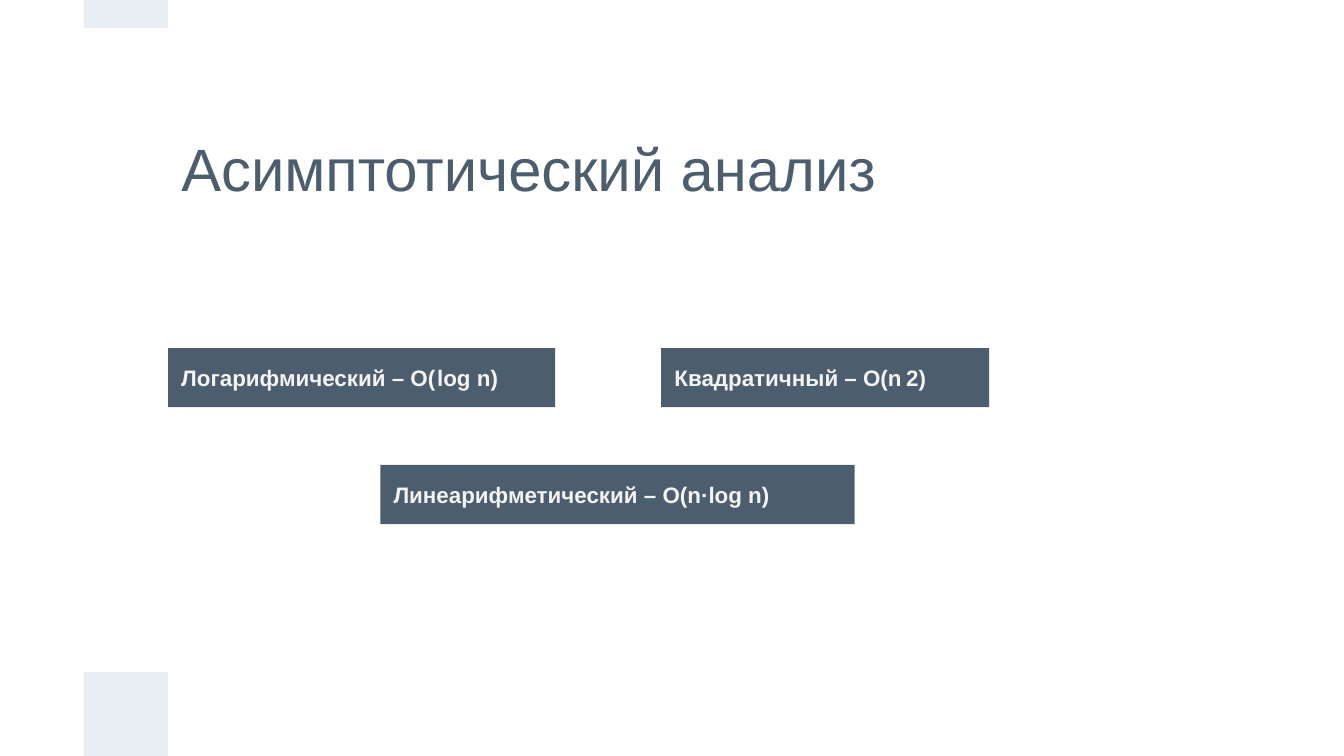
from pptx import Presentation
from pptx.dml.color import RGBColor
from pptx.enum.shapes import MSO_SHAPE
from pptx.enum.text import MSO_ANCHOR, PP_ALIGN
from pptx.util import Inches, Pt

SLATE = RGBColor(0x4C, 0x5D, 0x6E)
PALE_BLUE = RGBColor(0xE9, 0xED, 0xF4)
OFF_WHITE = RGBColor(0xF3, 0xF3, 0xF3)
FONT = "Arial"
PAGE_WIDTH = 10
PAGE_HEIGHT = PAGE_WIDTH * 9 / 16
MARGIN = PAGE_WIDTH / 16
LABEL_HEIGHT = 0.44
NO_BREAK_SPACE = chr(0xA0)
HAIR_SPACE = chr(0x200A)
THIN_SPACE = chr(0x2009)
LABELS = [
    ("Логарифмический", f"O({HAIR_SPACE}log{NO_BREAK_SPACE}n)", 1.25, 2.59, 2.88),
    ("Линеарифметический", f"O(n·log{NO_BREAK_SPACE}n)", 2.83, 3.46, 3.53),
    ("Квадратичный", f"O(n{THIN_SPACE}2)", 4.92, 2.59, 2.44),
]


def add_block(page, left, top, width, height, color):
    """Add a plain filled rectangle and return it."""
    block = page.shapes.add_shape(
        MSO_SHAPE.RECTANGLE, Inches(left), Inches(top), Inches(width), Inches(height))
    block.shadow.inherit = False
    block.fill.solid()
    block.fill.fore_color.rgb = color
    block.line.fill.background()
    return block


def write_text(box, text, size, color, bold, inset):
    """Write one left-aligned, vertically centred line into a shape."""
    frame = box.text_frame
    frame.text = text
    frame.word_wrap = True
    frame.vertical_anchor = MSO_ANCHOR.MIDDLE
    frame.margin_left = frame.margin_right = Inches(0.1)
    frame.margin_top = frame.margin_bottom = Inches(inset)
    para = frame.paragraphs[0]
    para.alignment = PP_ALIGN.LEFT
    font = para.runs[0].font
    font.name, font.size, font.bold = FONT, Pt(size), bold
    font.color.rgb = color


def add_edge_bars(page, left, width):
    """Add the pale bars at the top and bottom edges of the page."""
    add_block(page, left, 5, width, PAGE_HEIGHT - 5, PALE_BLUE)
    add_block(page, left, 0, width, 0.21, PALE_BLUE)


def set_title(page, left, top, width, height):
    """Place and format the title placeholder."""
    title = page.shapes.title
    title.left, title.top = Inches(left), Inches(top)
    title.width, title.height = Inches(width), Inches(height)
    write_text(title, "Асимптотический анализ", 32, SLATE, False, 0.1)


def add_label(page, name, growth, left, top, width):
    """Add a dark label naming one class of complexity and its growth."""
    label = add_block(page, left, top, width, LABEL_HEIGHT, SLATE)
    write_text(label, f"{name} –{NO_BREAK_SPACE}{growth}", 12, OFF_WHITE, True, 0.05)


def main():
    """Build the deck and save it."""
    deck = Presentation()
    deck.slide_width, deck.slide_height = Inches(PAGE_WIDTH), Inches(PAGE_HEIGHT)
    page = deck.slides.add_slide(deck.slide_layouts[5])
    add_edge_bars(page, MARGIN, MARGIN)
    set_title(page, 2 * MARGIN, MARGIN, 12 * MARGIN, 2 * MARGIN)
    for name, growth, left, top, width in LABELS:
        add_label(page, name, growth, left, top, width)
    deck.save("out.pptx")


if __name__ == "__main__":
    main()
